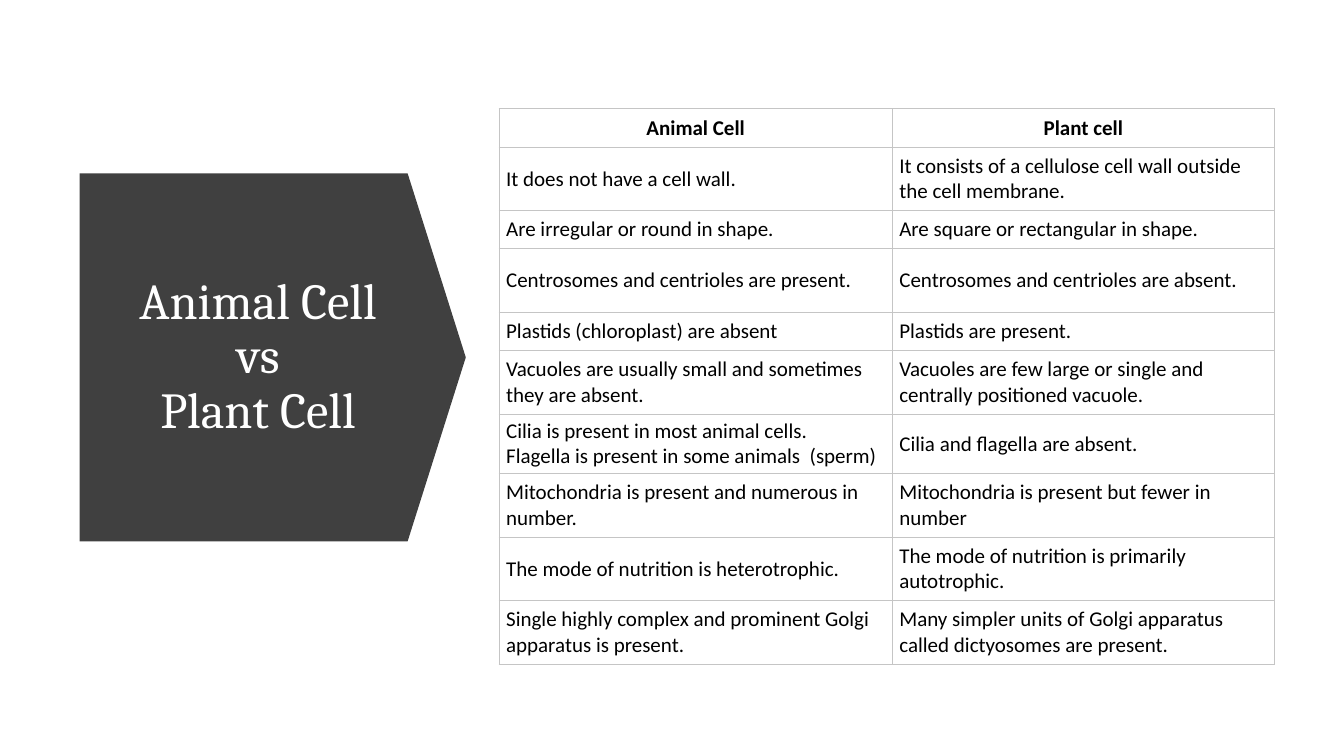
from lxml import etree
from pptx import Presentation
from pptx.dml.color import RGBColor
from pptx.enum.shapes import MSO_SHAPE
from pptx.enum.text import MSO_ANCHOR, MSO_AUTO_SIZE, PP_ALIGN
from pptx.oxml.ns import qn
from pptx.util import Inches, Pt

CENTER, LEFT, MIDDLE = PP_ALIGN.CENTER, PP_ALIGN.LEFT, MSO_ANCHOR.MIDDLE

# Content
TITLE = "Animal Cell\vvs\vPlant Cell"
ROWS = [
    ("Animal Cell", "Plant cell"),
    ("It does not have a cell wall.",
     "It consists of a cellulose cell wall outside the cell membrane."),
    ("Are irregular or round in shape.", "Are square or rectangular in shape."),
    ("Centrosomes and centrioles are present.", "Centrosomes and centrioles are absent."),
    ("Plastids (chloroplast) are absent", "Plastids are present."),
    ("Vacuoles are usually small and sometimes they are absent.",
     "Vacuoles are few large or single and centrally positioned vacuole."),
    ("Cilia is present in most animal cells.\nFlagella is present in some animals  (sperm)",
     "Cilia and flagella are absent."),
    ("Mitochondria is present and numerous in number.",
     "Mitochondria is present but fewer in number"),
    ("The mode of nutrition is heterotrophic.",
     "The mode of nutrition is primarily autotrophic."),
    ("Single highly complex and prominent Golgi apparatus is present.",
     "Many simpler units of Golgi apparatus called dictyosomes are present."),
]
COLORS = {"arrow": "404040", "title": "FFFFFF", "text": "000000", "border": "C5C5C5"}

# Layout, in inches
SLIDE = (13.33, 7.5)
ARROW_BOX = (0.88, 1.63, 3.65, 3.83)
TITLE_BOX = (1.12, 2.15, 2.88, 2.79)
TABLE_LEFT, TABLE_TOP = 4.95, 1.08
COL_WIDTHS = (3.9, 3.79)
SHORT_ROW, TALL_ROW = 0.38, 0.63
SHORT_ROWS = {0, 2, 4, 6}
MARGIN_X, MARGIN_Y = 0.07, 0.04


def box(values):
    return [Inches(v) for v in values]


def style_run(r, font, size, color, bold=False):
    r.font.name, r.font.size, r.font.bold = font, Pt(size), bold
    r.font.color.rgb = RGBColor.from_string(COLORS[color])


def set_borders(cell):
    tc_pr = cell._tc.get_or_add_tcPr()
    for i, side in enumerate(("a:lnL", "a:lnR", "a:lnT", "a:lnB")):
        ln = etree.Element(qn(side), w=str(Pt(0.75)))
        fill = etree.SubElement(ln, qn("a:solidFill"))
        etree.SubElement(fill, qn("a:srgbClr"), val=COLORS["border"])
        tc_pr.insert(i, ln)


def fill_cell(cell, text, is_header):
    cell.fill.background()
    set_borders(cell)
    cell.vertical_anchor = MIDDLE
    cell.margin_left = cell.margin_right = Inches(MARGIN_X)
    cell.margin_top = cell.margin_bottom = Inches(MARGIN_Y)
    cell.text_frame.text = text
    for p in cell.text_frame.paragraphs:
        p.alignment = CENTER if is_header else LEFT
        for r in p.runs:
            style_run(r, "Calibri", 15, "text", is_header)


prs = Presentation()
prs.slide_width, prs.slide_height = box(SLIDE)
slide = prs.slides.add_slide(prs.slide_layouts[5])
title = slide.shapes.title

# Arrow panel, placed behind the title
arrow = slide.shapes.add_shape(MSO_SHAPE.DOWN_ARROW, *box(ARROW_BOX))
arrow.rotation = 270
arrow.adjustments[0], arrow.adjustments[1] = 1, 0.158
arrow.shadow.inherit = False
arrow.fill.solid()
arrow.fill.fore_color.rgb = RGBColor.from_string(COLORS["arrow"])
arrow.line.fill.background()
title._element.addprevious(arrow._element)

# Title
title.left, title.top, title.width, title.height = box(TITLE_BOX)
tf = title.text_frame
tf.text = TITLE
tf.word_wrap = True
tf.auto_size = MSO_AUTO_SIZE.NONE
tf.vertical_anchor = MIDDLE
p = tf.paragraphs[0]
p.alignment, p.line_spacing = CENTER, 0.9
for r in p.runs:
    style_run(r, "Cambria", 36, "title")
for br in p._p.findall(qn("a:br")):
    etree.SubElement(br, qn("a:rPr"), sz="3600")

# Comparison table
heights = [SHORT_ROW if i in SHORT_ROWS else TALL_ROW for i in range(len(ROWS))]
frame = slide.shapes.add_table(
    len(ROWS), len(COL_WIDTHS),
    *box((TABLE_LEFT, TABLE_TOP, sum(COL_WIDTHS), sum(heights))))
table = frame.table
table.horz_banding = False
for column, width in zip(table.columns, COL_WIDTHS):
    column.width = Inches(width)
for i, (texts, height) in enumerate(zip(ROWS, heights)):
    table.rows[i].height = Inches(height)
    for j, text in enumerate(texts):
        fill_cell(table.cell(i, j), text, i == 0)

prs.save("out.pptx")
